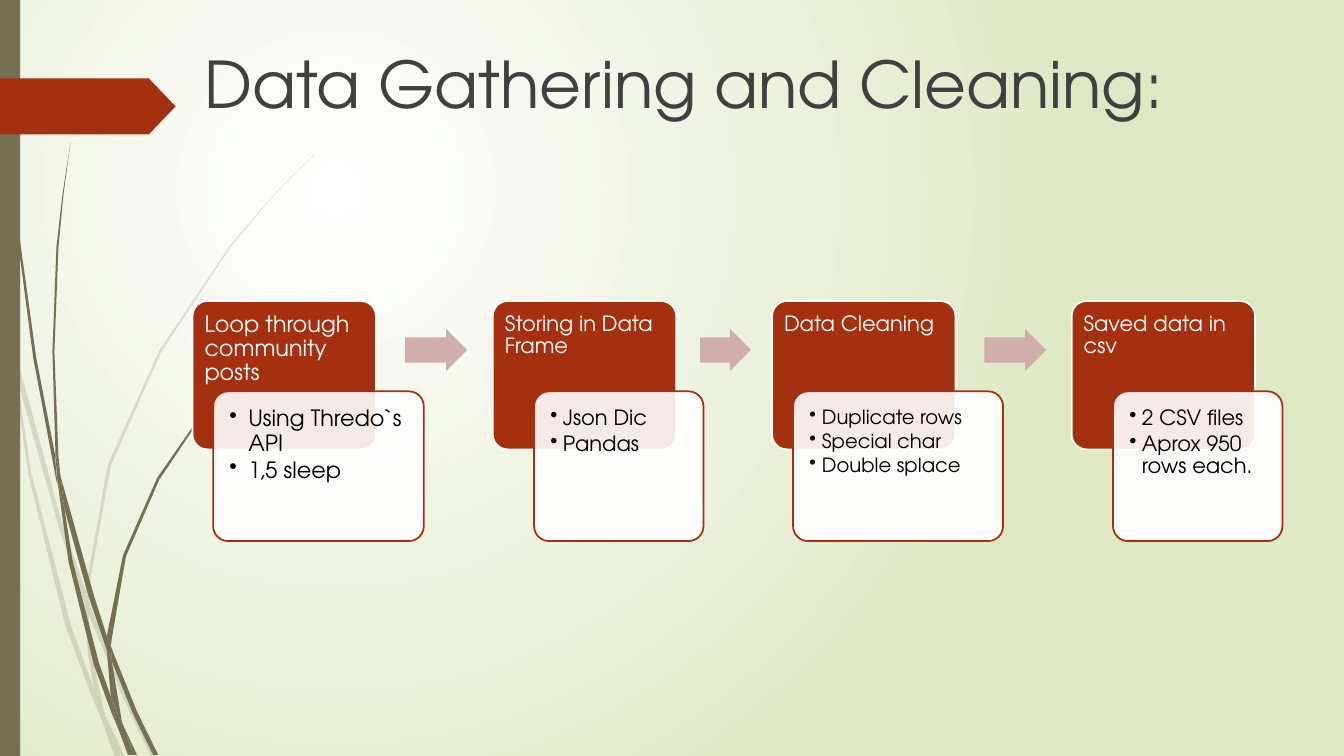
from pptx import Presentation
from pptx.dml.color import RGBColor
from pptx.enum import shapes, text
from pptx.oxml import parse_xml
from pptx.oxml.ns import nsdecls, qn
from pptx.util import Pt

FONT = "TeX Gyre Adventor"
COLORS = {"rust": "A53010", "olive": "766F54", "arrow": "CFAEAB", "title": "404040",
          "white": "FFFFFF", "black": "000000", "sage": "DFE8C4"}

# Grass outlines, corner by corner, in hundredths of an inch.
GRID = Pt(0.72)
PALE_GRASS = [
    "11,350 9,322 0,282 0,299 10,344",
    "58,522 84,599 85,586 62,520 14,345 17,376",
    "92,607 88,596 88,610 123,694 150,751 155,751 127,692",
    "119,751 124,751 105,711",
    "93,683 70,619 31,469 17,376 11,350 28,470 65,621 92,693 101,714 99,707",
    "84,599 87,646 93,683 96,692 105,711 103,706 91,646 88,610 88,608",
    "88,584 110,462 160,349 229,245 268,198 290,175 312,154 312,153 289,175 268,197 "
    "228,244 158,348 107,461 85,584 85,586 88,596",
    "101,714 114,751 119,751",
    "88,608 88,610 88,596 85,586 84,599",
    "96,692 93,683 99,707 101,714 119,751 105,711",
]
DARK_GRASS = [
    "7,110 17,233 33,355 56,477 57,481 55,457 55,453 36,355 19,232 8,109 5,48 4,0 3,0 4,48",
    "88,592 106,645 106,633 106,631 93,590 60,472 64,505",
    "113,649 110,641 111,656 132,708 152,749 157,749 136,706",
    "110,691 98,657 72,556 64,505 57,477 68,557 93,659 111,708 117,722 116,717",
    "60,472 58,453 54,349 58,245 63,193 70,141 62,193 56,245 52,349 55,449",
    "133,749 136,749 122,719",
    "57,477 64,505 60,472 55,449 55,453",
    "111,633 125,552 158,476 205,406 231,374 245,359 261,344 260,344 245,358 231,373 "
    "204,405 156,474 122,551 106,631 110,641",
    "117,722 127,749 131,749",
    "106,645 110,691 116,706 122,719 121,716 111,656 109,651",
    "106,645 109,651 111,656 110,641 106,631 106,633",
    "116,706 110,691 116,717 117,722 130,749 133,749 122,719",
]

# left edge, heading, heading size, detail width, bullets, bullet size, bullet indent
STEPS = [
    (137.5, "Loop through community posts", 16, 150.5, ["Using Thredo`s API", "1,5 sleep"], 16, 13.5),
    (352, "Storing in Data Frame", 15, 121, ["Json Dic", "Pandas"], 15, 9),
    (551.5, "Data Cleaning", 15, 150, ["Duplicate rows", "Special char", "Double splace"], 14, 9),
    (765.5, "Saved data in csv", 15, 121, ["2 CSV files", "Aprox 950 rows each."], 15, 9),
]
CARD_WIDTH = 131


def paint(shape, fill, line=None, opacity=100):
    shape.shadow.inherit = False
    shape.fill.solid()
    shape.fill.fore_color.rgb = RGBColor.from_string(COLORS[fill])
    if opacity < 100:
        color = shape.element.spPr.find(qn("a:solidFill"))[0]
        color.append(parse_xml(f'<a:alpha {nsdecls("a")} val="{opacity * 1000}"/>'))
    if line:
        shape.line.color.rgb = RGBColor.from_string(COLORS[line])
        shape.line.width = Pt(1.25)
    else:
        shape.line.fill.background()


def add_preset(slide, preset, box, fill, adjustments=(), **style):
    shape = slide.shapes.add_shape(preset, *map(Pt, box))
    for index, value in enumerate(adjustments):
        shape.adjustments[index] = value
    paint(shape, fill, **style)
    return shape


def write(shape, lines, size, color, inset, after=0, indent=0):
    """Fill a shape with top-left text; a positive indent makes the lines bullets."""
    frame = shape.text_frame
    frame.word_wrap = True
    frame.vertical_anchor = text.MSO_ANCHOR.TOP
    frame.margin_left = frame.margin_top = frame.margin_right = frame.margin_bottom = Pt(inset)
    frame.text = "\n".join(lines)
    for paragraph in frame.paragraphs:
        paragraph.alignment = text.PP_ALIGN.LEFT
        paragraph.line_spacing = 0.9
        paragraph.space_after = Pt(after)
        font = paragraph.runs[0].font
        font.name, font.size = FONT, Pt(size)
        font.color.rgb = RGBColor.from_string(COLORS[color])
        if indent:
            properties = paragraph._p.get_or_add_pPr()
            properties.set("marL", str(int(Pt(indent))))
            properties.set("indent", str(-int(Pt(indent))))
            properties.append(parse_xml(f'<a:buChar {nsdecls("a")} char="•"/>'))


def add_backdrop(slide):
    fill = slide.background.fill
    fill.gradient()
    for stop, color in zip(fill.gradient_stops, ("white", "sage")):
        stop.color.rgb = RGBColor.from_string(COLORS[color])
    gradient = slide.element.find(".//" + qn("a:gradFill"))
    gradient.replace(gradient.find(qn("a:lin")), parse_xml(
        f'<a:path {nsdecls("a")} path="circle">'
        '<a:fillToRect l="50000" t="50000" r="100000" b="100000"/></a:path>'))


def add_grass(slide, outlines, opacity):
    for outline in outlines:
        start, *rest = [tuple(map(int, corner.split(","))) for corner in outline.split()]
        builder = slide.shapes.build_freeform(*start, scale=GRID)
        builder.add_line_segments(rest, close=True)
        paint(builder.convert_to_shape(), "olive", opacity=opacity)


def add_side_decor(slide, height):
    add_grass(slide, PALE_GRASS, 20)
    add_grass(slide, DARK_GRASS, 100)
    add_preset(slide, shapes.MSO_SHAPE.RECTANGLE, (0, 0, 14.5, height), "olive")
    add_preset(slide, shapes.MSO_SHAPE.PENTAGON, (0, 56, 125.5, 40), "rust", [0.48])


def add_title(slide, box, words):
    title = slide.shapes.add_textbox(*map(Pt, box))
    write(title, [words], 46, "title", 3.6)
    paragraph = title.text_frame.paragraphs[0]
    paragraph.alignment = text.PP_ALIGN.CENTER
    paragraph.line_spacing = 1.0
    paragraph.space_before = Pt(10)


def add_step(slide, left, top, heading, heading_size, detail_width, bullets, size, indent):
    rounded = shapes.MSO_SHAPE.ROUNDED_RECTANGLE
    card = add_preset(slide, rounded, (left, top, CARD_WIDTH, 106), "rust", [0.1], line="white")
    write(card, [heading], heading_size, "white", 5.5)
    detail_box = (left + 90 - detail_width / 2, top + 64.5, detail_width, 107)
    detail = add_preset(slide, rounded, detail_box, "white", [0.1], line="rust", opacity=90)
    write(detail, bullets, size, "black", 8.5, after=2, indent=indent)


def add_process(slide, top):
    for i, (left, *content) in enumerate(STEPS):
        add_step(slide, left, top, *content)
        if i + 1 < len(STEPS):
            right = left + CARD_WIDTH
            gap = STEPS[i + 1][0] - right
            add_preset(slide, shapes.MSO_SHAPE.RIGHT_ARROW,
                       (right + 0.25 * gap, top + 20, 0.53 * gap, 30), "arrow", [0.6, 0.5])


def main():
    deck = Presentation()
    deck.slide_width, deck.slide_height = Pt(960), Pt(540)
    slide = deck.slides.add_slide(deck.slide_layouts[6])
    add_backdrop(slide)
    add_side_decor(slide, 540)
    add_title(slide, (137.5, 28, 702, 100), "Data Gathering and Cleaning:")
    add_process(slide, 215)
    deck.save("out.pptx")


if __name__ == "__main__":
    main()
